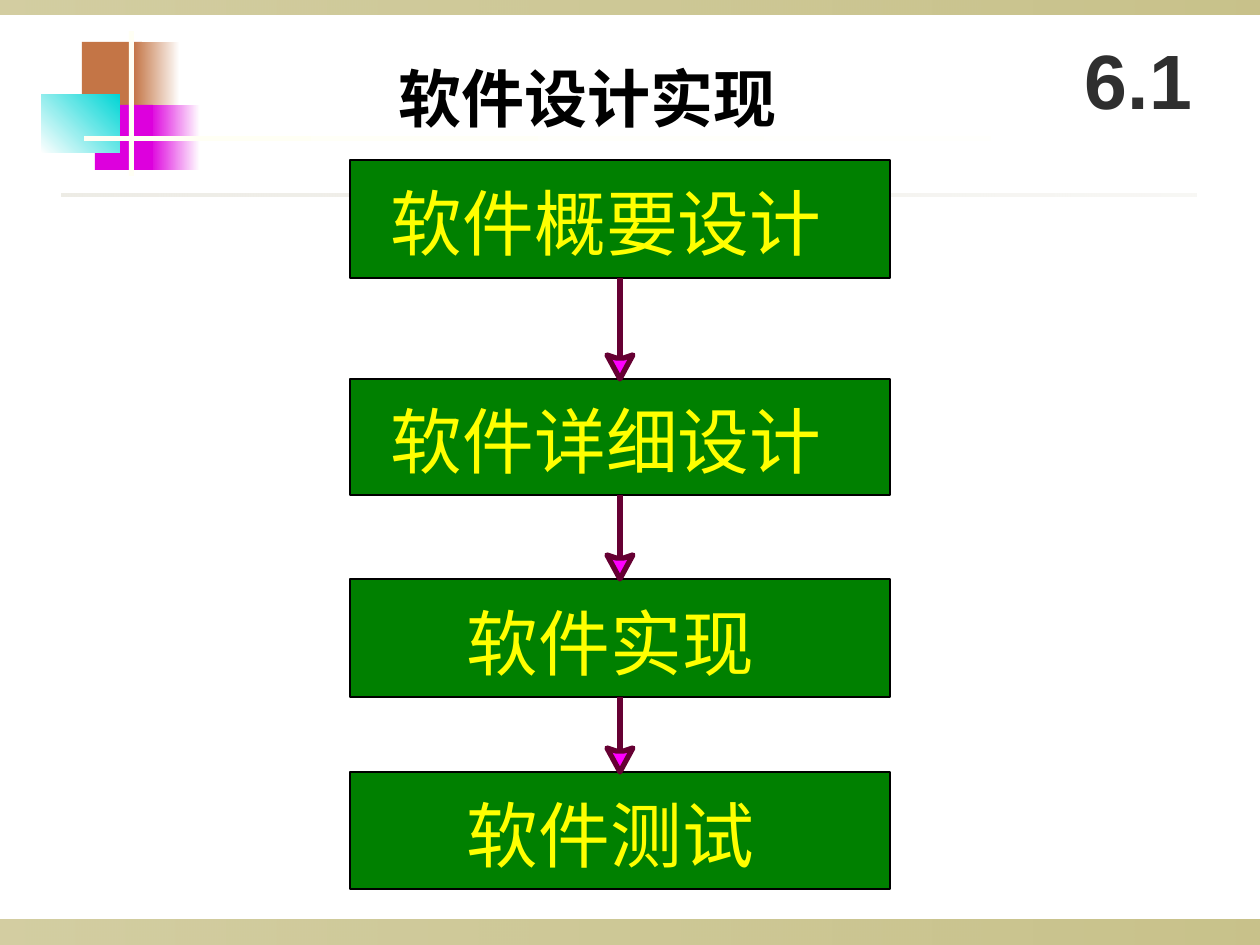
"""Build the software design and implementation flow slide."""
from dataclasses import dataclass
from typing import Optional

import lxml.etree
import pptx
import pptx.dml.color
import pptx.enum.shapes
import pptx.enum.text
import pptx.oxml.ns
import pptx.util

RGBColor = pptx.dml.color.RGBColor
ALIGN = pptx.enum.text.PP_ALIGN
ANCHOR = pptx.enum.text.MSO_ANCHOR
SCALE = 914400 / 126

BLACK = RGBColor(0x00, 0x00, 0x00)
WHITE = RGBColor(0xFF, 0xFF, 0xFF)
IVORY = RGBColor(0xFF, 0xFF, 0xF4)
OLIVE = RGBColor(0x91, 0x84, 0x15)
STONE = RGBColor(0xDC, 0xD9, 0xCC)
COPPER = RGBColor(0xC4, 0x75, 0x46)
PURPLE = RGBColor(0xDD, 0x00, 0xDD)
TEAL = RGBColor(0x00, 0xD5, 0xD5)
GREEN = RGBColor(0x00, 0x80, 0x00)
YELLOW = RGBColor(0xFF, 0xFF, 0x00)
WINE = RGBColor(0x66, 0x00, 0x33)
MAGENTA = RGBColor(0xFF, 0x00, 0xFF)
CHARCOAL = RGBColor(0x2F, 0x2F, 0x2F)
CJK_FONT = "Noto Sans CJK SC"


@dataclass(frozen=True)
class Block:
    left: int
    top: int
    width: int
    height: int
    color: RGBColor
    fade: Optional[RGBColor] = None
    angle: int = 0
    opacity: tuple[int, int] = (100, 100)


@dataclass(frozen=True)
class Step:
    label: str
    top: int
    height: int
    text_left: int
    text_top: int
    text_width: int


DECORATION = (
    Block(0, 920, 1260, 25, OLIVE, OLIVE, opacity=(40, 50)),
    Block(0, 0, 1260, 15, OLIVE, OLIVE, opacity=(40, 50)),
    Block(82, 42, 60, 66, COPPER),
    Block(134, 42, 46, 66, COPPER, WHITE),
    Block(150, 105, 50, 65, PURPLE, WHITE),
    Block(95, 105, 58, 65, PURPLE),
    Block(129, 31, 5, 145, IVORY),
    Block(41, 94, 79, 59, WHITE, TEAL, angle=45),
    Block(84, 136, 1134, 5, IVORY, WHITE),
    Block(62, 194, 1135, 3, STONE, STONE, opacity=(50, 20)),
)

STEPS = (
    Step("软件概要设计", 160, 118, 391, 179, 436),
    Step("软件详细设计", 379, 116, 391, 397, 436),
    Step("软件实现", 579, 118, 467, 599, 292),
    Step("软件测试", 772, 117, 467, 791, 292),
)
STEP_LEFT, STEP_WIDTH = 350, 540
CENTER = STEP_LEFT + STEP_WIDTH // 2
ARROWHEAD = ((0, 0), (13, -24), (4, -21), (-4, -21), (-13, -24))
SHAFT_GAP = 18


def px(length: int) -> int:
    return round(length * SCALE)


def add_block(slide, block: Block):
    shape = slide.shapes.add_shape(
        pptx.enum.shapes.MSO_SHAPE.RECTANGLE,
        px(block.left), px(block.top), px(block.width), px(block.height),
    )
    shape.shadow.inherit = False
    shape.line.fill.background()
    if block.fade is None:
        shape.fill.solid()
        shape.fill.fore_color.rgb = block.color
        return shape
    shape.fill.gradient()
    shape.fill.gradient_angle = block.angle
    for stop, color in zip(shape.fill.gradient_stops, (block.color, block.fade)):
        stop.color.rgb = color
    colors = shape.element.spPr.iter(pptx.oxml.ns.qn("a:srgbClr"))
    for color, opacity in zip(list(colors), block.opacity):
        if opacity < 100:
            alpha = lxml.etree.SubElement(color, pptx.oxml.ns.qn("a:alpha"))
            alpha.set("val", str(opacity * 1000))
    return shape


def add_text(slide, text: str, left: int, top: int, width: int, height: int, *,
             size: int, font: str, color: RGBColor, bold: bool = False,
             align=ALIGN.LEFT, anchor=ANCHOR.TOP, wrap: bool = True,
             grow: bool = True, inset: bool = True, spacing: Optional[float] = None):
    box = slide.shapes.add_textbox(px(left), px(top), px(width), px(height))
    frame = box.text_frame
    frame.word_wrap = wrap
    frame.vertical_anchor = anchor
    if grow:
        frame.auto_size = pptx.enum.text.MSO_AUTO_SIZE.SHAPE_TO_FIT_TEXT
    if not inset:
        frame.margin_left = frame.margin_right = 0
        frame.margin_top = frame.margin_bottom = 0
    para = frame.paragraphs[0]
    para.alignment = align
    if spacing is not None:
        para.line_spacing = spacing
    span = para.add_run()
    span.text = text
    span.font.size = pptx.util.Pt(size)
    span.font.name = font
    span.font.bold = bold
    span.font.color.rgb = color
    east_asian = lxml.etree.SubElement(span.font._element, pptx.oxml.ns.qn("a:ea"))
    east_asian.set("typeface", CJK_FONT)
    return box


def add_step(slide, step: Step):
    shape = add_block(slide, Block(STEP_LEFT, step.top, STEP_WIDTH, step.height, GREEN))
    shape.line.color.rgb = BLACK
    shape.line.width = pptx.util.Pt(0.88)
    add_text(slide, step.label, step.text_left, step.text_top, step.text_width, 86,
             size=41, font=CJK_FONT, color=YELLOW, wrap=False, inset=False)
    return shape


def add_arrow(slide, source, tip: int) -> None:
    shaft = slide.shapes.add_connector(
        pptx.enum.shapes.MSO_CONNECTOR.STRAIGHT,
        px(CENTER), source.top + source.height, px(CENTER), px(tip - SHAFT_GAP),
    )
    shaft.begin_connect(source, 2)
    points = [(px(CENTER + x), px(tip + y)) for x, y in ARROWHEAD]
    builder = slide.shapes.build_freeform(*points[0])
    builder.add_line_segments(points[1:], close=True)
    head = builder.convert_to_shape()
    head.shadow.inherit = False
    head.fill.solid()
    head.fill.fore_color.rgb = MAGENTA
    for part in (shaft, head):
        part.line.color.rgb = WINE
        part.line.width = pptx.util.Pt(3)
    lxml.etree.SubElement(shaft._element.spPr, pptx.oxml.ns.qn("a:effectLst"))


def main() -> None:
    deck = pptx.Presentation()
    deck.slide_width, deck.slide_height = px(1260), px(945)
    page = deck.slides.add_slide(deck.slide_layouts[6])
    for block in DECORATION:
        add_block(page, block)
    add_text(page, "软件设计实现", 210, 73, 756, 66, size=36, font="Times New Roman",
             color=BLACK, bold=True, align=ALIGN.CENTER, anchor=ANCHOR.BOTTOM, spacing=0.7)
    boxes = [add_step(page, step) for step in STEPS]
    for box, following in zip(boxes, STEPS[1:]):
        add_arrow(page, box, following.top)
    add_text(page, "6.1", 1060, 21, 157, 116, size=44, font="Arial", color=CHARCOAL,
             bold=True, align=ALIGN.CENTER, anchor=ANCHOR.MIDDLE, grow=False)
    deck.save("out.pptx")


if __name__ == "__main__":
    main()
